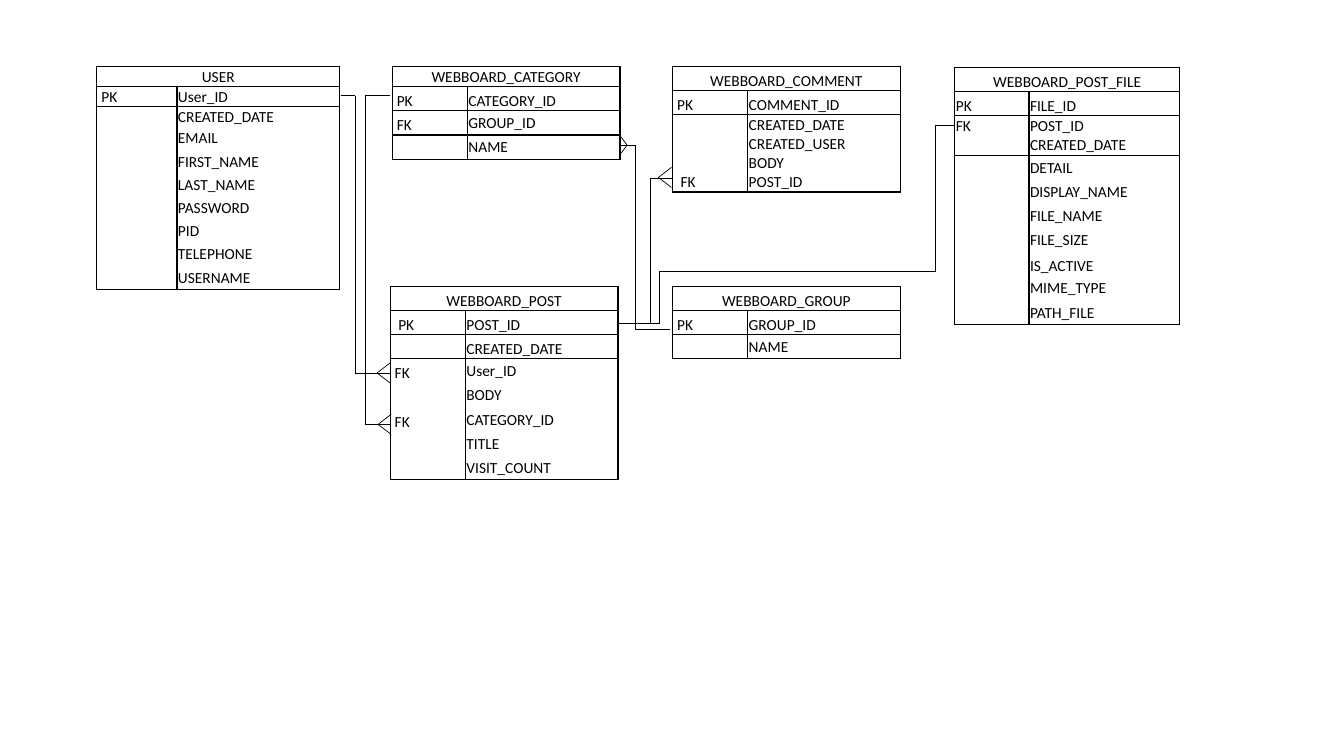
from dataclasses import dataclass
from itertools import pairwise

from lxml import etree
from pptx import Presentation
from pptx.dml.color import RGBColor
from pptx.enum.shapes import MSO_CONNECTOR
from pptx.enum.text import MSO_ANCHOR, PP_ALIGN
from pptx.oxml.ns import qn
from pptx.util import Inches, Pt

STRAIGHT = MSO_CONNECTOR.STRAIGHT
TOP, BOTTOM = MSO_ANCHOR.TOP, MSO_ANCHOR.BOTTOM
LEFT, CENTER = PP_ALIGN.LEFT, PP_ALIGN.CENTER


@dataclass(frozen=True)
class Theme:
    ink: str = "000000"
    font: str = "Calibri"
    text_size: float = 11
    border: float = 1
    link: float = 0.5


THEME = Theme()

# Grid, in inches: entity columns, entity rows and the lanes links run along
USER_X, POST_X, CATEGORY_X, COMMENT_X, FILE_X = 0.96, 3.87, 3.89, 6.67, 9.47
UPPER_Y, LOWER_Y = 0.66, 2.84
USER_LANE, CATEGORY_LANE, GROUP_LANE = 3.52, 3.62, 6.3
COMMENT_LANE, POST_LANE, FILE_LANE = 6.45, 6.54, 9.28
ROW, SHORT_ROW, LIST_ROW = 0.24, 0.2, 0.23
KEY_SHARE = 0.33
INSET, SPACE = 0.01, 0.035


@dataclass
class Entity:
    name: str
    left: float
    top: float
    width: float
    fields: list      # one (key, field, ...) tuple per row
    heights: list     # title row first
    flush: tuple      # rows whose text sits on the bottom edge
    ruled: int = 3    # rows from the top with a line beneath
    key_indent: dict = None   # row: indent in spaces, 1 unless given


def entities():
    return [
        Entity("USER", USER_X, UPPER_Y, 2.41,
               [("PK", "User_ID"), ("", "CREATED_DATE"), ("", "EMAIL"),
                ("", "FIRST_NAME"), ("", "LAST_NAME"), ("", "PASSWORD"),
                ("", "PID"), ("", "TELEPHONE"), ("", "USERNAME")],
               [SHORT_ROW] * 3 + [LIST_ROW] * 7, (0, 1, 2), ruled=2),
        Entity("WEBBOARD_CATEGORY", CATEGORY_X, UPPER_Y, 2.26,
               [("PK", "CATEGORY_ID"), ("FK", "GROUP_ID"), ("", "NAME")],
               [SHORT_ROW] + [ROW] * 3, (0, 1)),
        Entity("WEBBOARD_COMMENT", COMMENT_X, UPPER_Y, 2.26,
               [("PK", "COMMENT_ID"),
                ("FK", "CREATED_DATE", "CREATED_USER", "BODY", "POST_ID")],
               [ROW, ROW, 0.76], (0, 1, 2), key_indent={2: 2}),
        Entity("WEBBOARD_GROUP", COMMENT_X, LOWER_Y, 2.26,
               [("PK", "GROUP_ID"), ("", "NAME")],
               [ROW] * 3, (0, 1)),
        Entity("WEBBOARD_POST", POST_X, LOWER_Y, 2.26,
               [("PK", "POST_ID"), ("", "CREATED_DATE"), ("FK", "User_ID"),
                ("", "BODY"), ("FK", "CATEGORY_ID"), ("", "TITLE"),
                ("", "VISIT_COUNT")],
               [ROW] * 8, (0, 1, 2), key_indent={1: 2}),
        Entity("WEBBOARD_POST_FILE", FILE_X, UPPER_Y + 0.01, 2.23,
               [("PK", "FILE_ID"), ("FK", "POST_ID", "CREATED_DATE"),
                ("", "DETAIL"), ("", "DISPLAY_NAME"), ("", "FILE_NAME"),
                ("", "FILE_SIZE"), ("", "IS_ACTIVE"), ("", "MIME_TYPE"),
                ("", "PATH_FILE")],
               [ROW, ROW, 0.39] + [ROW] * 7, (0, 1, 2, 7),
               key_indent={1: 0, 2: 0}),
    ]


def set_borders(cell, above, below):
    """Rule both sides of a cell, and its top and bottom where asked."""
    sides = {"a:lnL": True, "a:lnR": True, "a:lnT": above, "a:lnB": below}
    properties = cell._tc.get_or_add_tcPr()
    for position, (side, ruled) in enumerate(sides.items()):
        line = etree.Element(qn(side), w=str(Pt(THEME.border)))
        if ruled:
            fill = etree.SubElement(line, qn("a:solidFill"))
            etree.SubElement(fill, qn("a:srgbClr"), val=THEME.ink)
        else:
            etree.SubElement(line, qn("a:noFill"))
        properties.insert(position, line)


def write_cell(cell, lines, indent=0, raised=False, align=LEFT, anchor=BOTTOM):
    cell.fill.background()
    cell.vertical_anchor = anchor
    cell.margin_left = Inches(INSET + indent * SPACE)
    cell.margin_right = Inches(INSET)
    cell.margin_top = Inches(INSET)
    cell.margin_bottom = Inches(0.02 if raised else 0)
    cell.text = "\n".join(lines)
    for paragraph in cell.text_frame.paragraphs:
        paragraph.alignment = align
        paragraph.font.name = THEME.font
        paragraph.font.size = Pt(THEME.text_size)
        paragraph.font.color.rgb = RGBColor.from_string(THEME.ink)
        # Keeps empty cells from growing their row
        etree.SubElement(paragraph._p, qn("a:endParaRPr"),
                         sz=str(int(THEME.text_size * 100)))


def add_entity(slide, entity):
    count = len(entity.heights)
    table = slide.shapes.add_table(
        count, 2, Inches(entity.left), Inches(entity.top),
        Inches(entity.width), Inches(sum(entity.heights))).table
    table.first_row = table.horz_banding = False
    for column, share in zip(table.columns, (KEY_SHARE, 1 - KEY_SHARE)):
        column.width = Inches(entity.width * share)
    for row, height in zip(table.rows, entity.heights):
        row.height = Inches(height)

    # Title row
    table.cell(0, 0).merge(table.cell(0, 1))
    write_cell(table.cell(0, 0), [entity.name], align=CENTER)

    # Key and field rows
    indents = entity.key_indent or {}
    for row, (key, *names) in enumerate(entity.fields, start=1):
        beside_first = entity.name == "WEBBOARD_POST_FILE" and len(names) > 1
        write_cell(table.cell(row, 0), [key], indents.get(row, 1),
                   anchor=TOP if beside_first else BOTTOM)
        write_cell(table.cell(row, 1), names, raised=row not in entity.flush)

    for row in range(count):
        for column in range(2):
            set_borders(table.cell(row, column), row <= entity.ruled,
                        row < entity.ruled or row == count - 1)


def add_link(slide, *points):
    """Join the points with straight lines."""
    for start, end in pairwise(points):
        line = slide.shapes.add_connector(
            STRAIGHT, *(Inches(value) for value in start + end))
        line.line.color.rgb = RGBColor.from_string(THEME.ink)
        line.line.width = Pt(THEME.link)
        etree.SubElement(line._element.spPr, qn("a:effectLst"))


def add_crows_foot(slide, tip_x, edge_x, y, spread=0.1):
    add_link(slide, (edge_x, y + spread), (tip_x, y), (edge_x, y - spread))


def add_relations(slide):
    # Category to post
    add_link(slide, (POST_X, 0.95), (CATEGORY_LANE, 0.95),
             (CATEGORY_LANE, 4.21), (POST_X, 4.21))
    add_crows_foot(slide, 3.75, 3.88, 4.21)
    # User to post
    add_link(slide, (3.38, 0.95), (USER_LANE, 0.95),
             (USER_LANE, 3.7), (POST_X, 3.7))
    add_crows_foot(slide, 3.74, POST_X, 3.7)
    # Post to comment
    add_link(slide, (COMMENT_X, 1.77), (COMMENT_LANE, 1.77),
             (COMMENT_LANE, 3.21), (6.15, 3.21))
    add_crows_foot(slide, 6.53, 6.66, 1.76)
    # Group to category
    add_link(slide, (6.15, 1.44), (GROUP_LANE, 1.44),
             (GROUP_LANE, 3.27), (6.65, 3.27))
    add_crows_foot(slide, 6.22, 6.16, 1.44, spread=0.08)
    # Post to file
    add_link(slide, (FILE_X, 1.24), (FILE_LANE, 1.24), (FILE_LANE, 2.69),
             (POST_LANE, 2.69), (POST_LANE, 3.21), (6.14, 3.21))


def main():
    deck = Presentation()
    deck.slide_width, deck.slide_height = Inches(13.33), Inches(7.5)
    slide = deck.slides.add_slide(deck.slide_layouts[6])
    for entity in entities():
        add_entity(slide, entity)
    add_relations(slide)
    deck.save("out.pptx")


if __name__ == "__main__":
    main()
